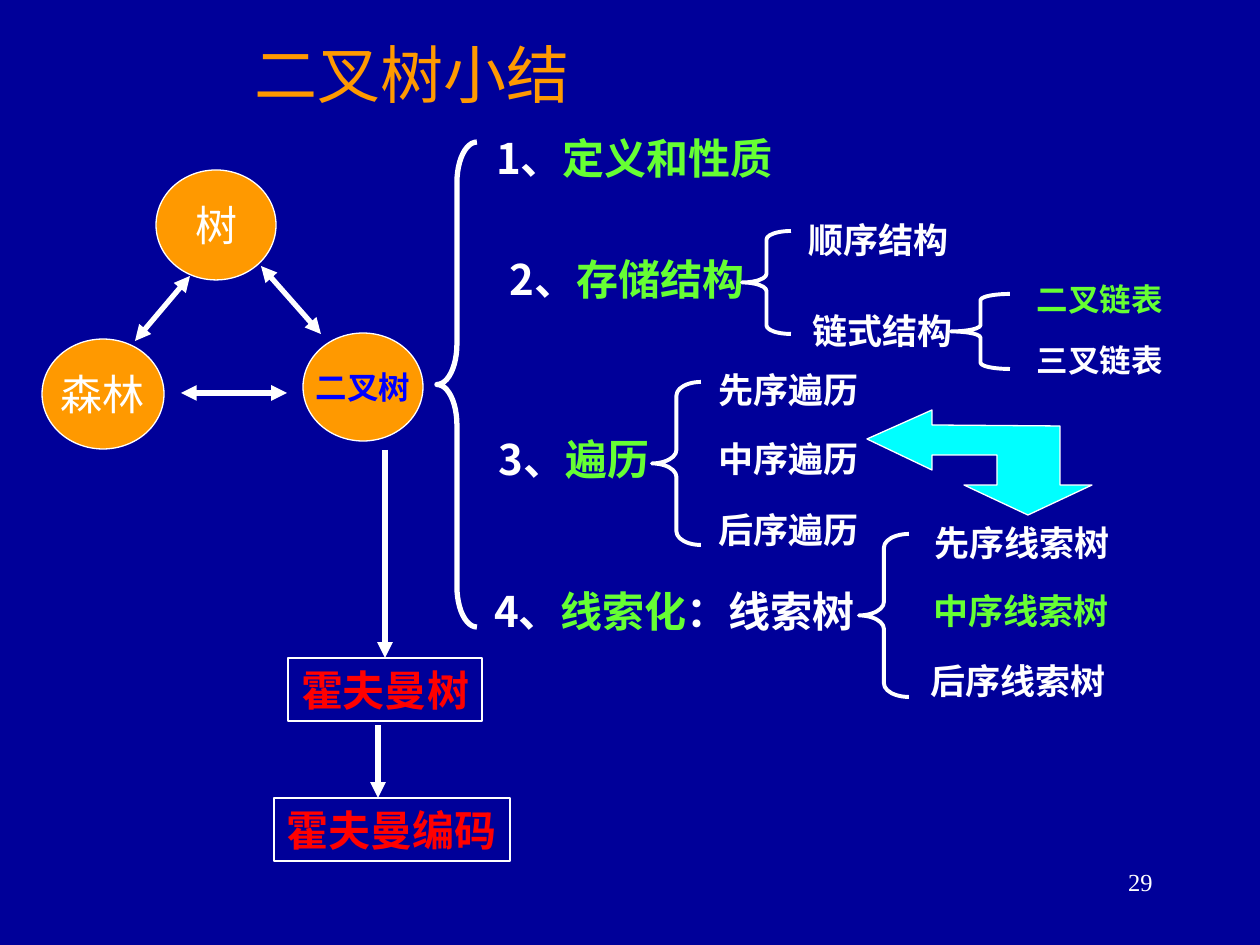
from lxml import etree
from pptx import Presentation
from pptx import util as u
from pptx.dml.color import RGBColor
from pptx.enum import shapes, text
from pptx.oxml import ns

SCALE = 914400 / 126  # EMU in one px
HUES = dict(back="000099", white="FFFFFF", green="66FF33", orange="FF9900",
            blue="0000FF", red="FF0000", cyan="00FFFF")
SANS, SERIF = "Noto Sans CJK SC", "Times New Roman"
KIND = shapes.MSO_SHAPE
SIDE = text.PP_ALIGN
MID = text.MSO_ANCHOR.MIDDLE


def px(*vals):
    return [u.Emu(round(v * SCALE)) for v in vals]


def hue(name):
    return RGBColor.from_string(HUES[name])


def write(shape, runs, size, font=SANS, bold=True, align=SIDE.CENTER,
          wrap=False, anchor=text.MSO_ANCHOR.TOP):
    """Fill a shape with one paragraph of (text, colour) runs."""
    frame = shape.text_frame
    frame.word_wrap = wrap
    frame.vertical_anchor = anchor
    para = frame.paragraphs[0]
    para.alignment = align
    look = dict(size=u.Pt(size), name=font, bold=bold)
    for words, color in runs:
        run = para.add_run()
        run.text = words
        for key, val in look.items():
            setattr(run.font, key, val)
        run.font.color.rgb = hue(color)
        # Chinese characters always use the sans face
        face = etree.SubElement(run.font._element, ns.qn("a:ea"))
        face.set("typeface", SANS)


def label(slide, box, runs, size, **look):
    write(slide.shapes.add_textbox(*px(*box)), runs, size, **look)


def paint(shape, fill=None, width=0.75):
    shape.shadow.inherit = False
    if fill:
        shape.fill.solid()
        shape.fill.fore_color.rgb = hue(fill)
    else:
        shape.fill.background()
    shape.line.color.rgb = hue("white")
    shape.line.width = u.Pt(width)


def node(slide, kind, box, words, color, size, fill=None, **look):
    shape = slide.shapes.add_shape(kind, *px(*box))
    paint(shape, fill)
    write(shape, [(words, color)], size, **look)
    return shape


def brace(slide, box, width=2.25):
    shape = slide.shapes.add_shape(KIND.LEFT_BRACE, *px(*box))
    paint(shape, width=width)
    # Each curl is one twelfth of the height
    shape.adjustments[0] = box[3] / 12 / min(box[2:])


def arrow(slide, ends, both=False):
    line = slide.shapes.add_connector(shapes.MSO_CONNECTOR.STRAIGHT, *px(*ends))
    line.line.color.rgb = hue("white")
    line.line.width = u.Pt(3)
    pen = line.line._get_or_add_ln()
    for tag in ["a:headEnd", "a:tailEnd"] if both else ["a:tailEnd"]:
        etree.SubElement(pen, ns.qn(tag)).set("type", "triangle")
    etree.SubElement(line._element.spPr, ns.qn("a:effectLst"))
    return line


def bend(slide, pts):
    form = slide.shapes.build_freeform(*pts[0], scale=SCALE)
    form.add_line_segments(pts[1:], close=True)
    paint(form.convert_to_shape(), "cyan")


def main():
    deck = Presentation()
    deck.slide_width, deck.slide_height = px(1260, 945)
    slide = deck.slides.add_slide(deck.slide_layouts[6])
    slide.background.fill.solid()
    slide.background.fill.fore_color.rgb = hue("back")

    # Title and page number
    label(slide, (242, 42, 420, 63), [("二叉树小结", "orange")], 36, font=SERIF,
          bold=False, align=SIDE.LEFT, wrap=True, anchor=MID)
    label(slide, (903, 861, 262, 63), [("29", "white")], 14, font=SERIF,
          bold=False, align=SIDE.RIGHT, wrap=True)

    # Numbered topics
    for x, y, w, num, words, rest in [
            (470, 126, 329, 1, "定义和性质", ""), (467, 247, 320, 2, "存储结构", ""),
            (466, 427, 216, 3, "遍历", ""), (467, 579, 415, 4, "线索化", "：线索树")]:
        runs = [(f"{num}、", "white"), (words, "green")]
        if rest:
            runs.append((rest, "white"))
        label(slide, (x, y, w, 63), runs, 24, wrap=True)

    # Braces
    brace(slide, (437, 142, 40, 485), 3)
    for box in [(742, 231, 49, 103), (951, 294, 59, 75),
                (652, 382, 49, 163), (859, 534, 50, 163)]:
        brace(slide, box)

    # Branches of each topic, with room for the whole line
    for x, y, w, words, color, size in [
            (792, 212, 173, "顺序结构", "white", 20),
            (796, 303, 173, "链式结构", "white", 20),
            (1020, 274, 159, "二叉链表", "green", 18),
            (1020, 335, 159, "三叉链表", "white", 18),
            (702, 362, 173, "先序遍历", "white", 20),
            (702, 431, 173, "中序遍历", "white", 20),
            (702, 502, 173, "后序遍历", "white", 20),
            (918, 515, 208, "先序线索树", "white", 20),
            (917, 583, 208, "中序线索树", "green", 20),
            (914, 653, 208, "后序线索树", "white", 20)]:
        label(slide, (x, y, w, 55), [(words, color)], size)

    # Tree, binary tree and forest
    for box, words, color, size, bold in [
            ((156, 170, 120, 110), "树", "white", 24, False),
            ((303, 333, 120, 108), "二叉树", "blue", 18, True),
            ((42, 339, 122, 110), "森林", "white", 24, False)]:
        node(slide, KIND.OVAL, box, words, color, size, "orange",
             font=SERIF, bold=bold, anchor=MID)
    for ends in [(261, 266, 321, 334), (190, 276, 135, 341), (181, 393, 287, 393)]:
        arrow(slide, ends, both=True)

    # Huffman chain
    tree, _ = [node(slide, KIND.RECTANGLE, box, words, "red", 24)
               for box, words in [((288, 658, 194, 63), "霍夫曼树"),
                                  ((274, 798, 236, 63), "霍夫曼编码")]]
    arrow(slide, (385, 450, 385, 658)).end_connect(tree, 0)
    arrow(slide, (378, 725, 378, 798))

    # Bent double arrow between traversal and threading
    bend(slide, [(1028, 515), (964, 485), (997, 485), (997, 455), (932, 455),
                 (932, 470), (867, 439), (932, 410), (932, 425), (1060, 426),
                 (1060, 485), (1092, 485)])

    deck.save("out.pptx")


if __name__ == "__main__":
    main()
